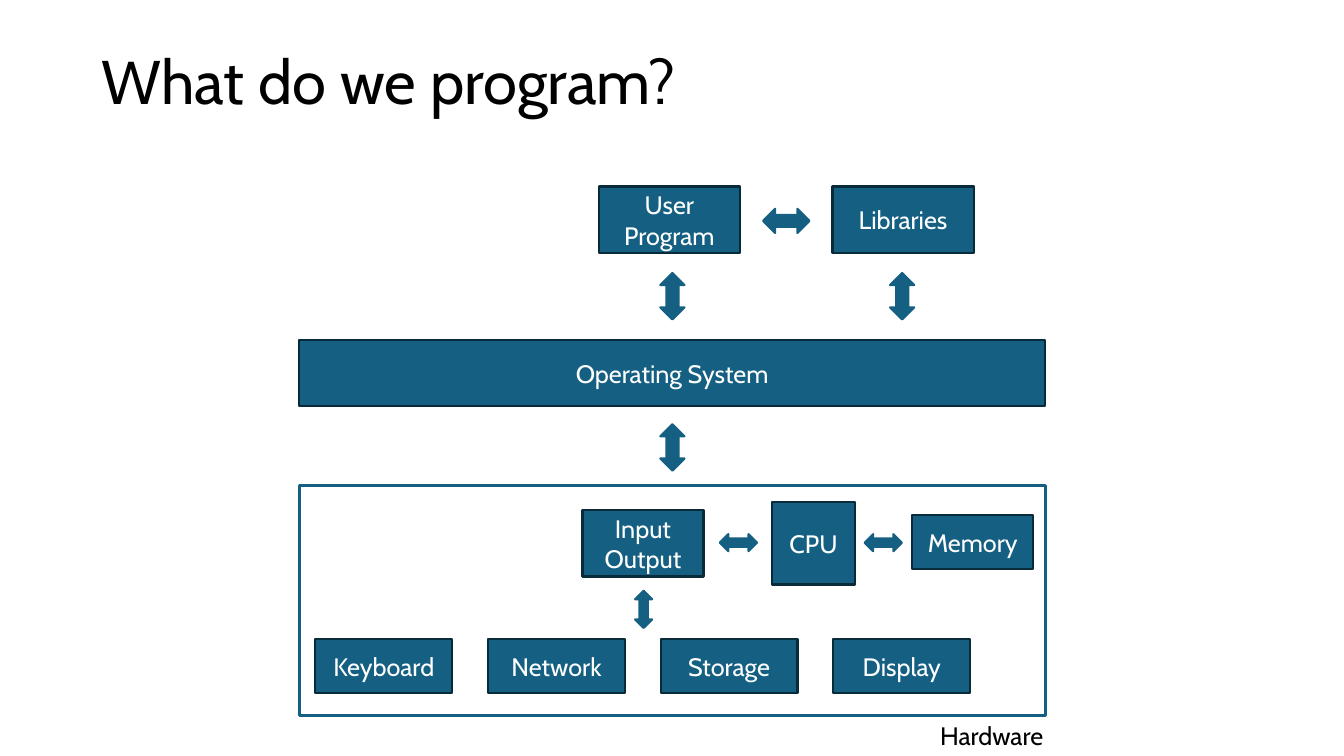
"""Build a slide showing the layers between a user program and the hardware."""
from pptx import Presentation
from pptx.dml.color import RGBColor
from pptx.enum.shapes import MSO_SHAPE
from pptx.enum.text import MSO_ANCHOR, MSO_AUTO_SIZE, PP_ALIGN
from pptx.util import Cm, Pt

TEAL, DARK_TEAL, WHITE, BLACK = "156082", "092A39", "FFFFFF", "000000"


def paint(color_format, hex_color):
    color_format.rgb = RGBColor.from_string(hex_color)


def write(shape, text, size, hex_color, align):
    shape.text_frame.text = text
    for paragraph in shape.text_frame.paragraphs:
        paragraph.alignment = align
        paragraph.font.name = "Cabin"
        paragraph.font.size = Pt(size)
        paint(paragraph.font.color, hex_color)


prs = Presentation()
prs.slide_width, prs.slide_height = Cm(33.87), Cm(19.05)
slide = prs.slides.add_slide(prs.slide_layouts[5])

title = slide.shapes.title
title.left, title.top, title.width, title.height = Cm(2.31), Cm(1.02), Cm(29.21), Cm(2.21)
write(title, "What do we program?", 44, BLACK, PP_ALIGN.LEFT)
title.text_frame.auto_size = MSO_AUTO_SIZE.NONE
title.text_frame.vertical_anchor = MSO_ANCHOR.MIDDLE
title.text_frame.paragraphs[0].line_spacing = 0.9

hardware = slide.shapes.add_shape(MSO_SHAPE.RECTANGLE, Cm(7.54), Cm(12.24), Cm(18.8), Cm(5.79))
hardware.shadow.inherit = False
hardware.fill.background()
paint(hardware.line.color, TEAL)
hardware.line.width = Pt(2.25)

components = [
    ("User Program", 15.09, 4.7, 3.56, 1.68),
    ("Libraries", 20.98, 4.7, 3.56, 1.68),
    ("Operating System", 7.54, 8.56, 18.8, 1.68),
    ("Input\nOutput", 14.68, 12.85, 3.05, 1.68),
    ("CPU", 19.46, 12.65, 2.08, 2.08),
    ("Memory", 22.99, 12.98, 3.05, 1.37),
]
devices = ["Keyboard", "Network", "Storage", "Display"]
components += [(device, 7.95 + 4.35 * i, 16.1, 3.45, 1.37) for i, device in enumerate(devices)]

for label, left, top, width, height in components:
    component = slide.shapes.add_shape(MSO_SHAPE.RECTANGLE, Cm(left), Cm(top), Cm(width), Cm(height))
    component.shadow.inherit = False
    component.fill.solid()
    paint(component.fill.fore_color, TEAL)
    paint(component.line.color, DARK_TEAL)
    component.line.width = Pt(1.5)
    component.text_frame.word_wrap = True
    component.text_frame.vertical_anchor = MSO_ANCHOR.MIDDLE
    write(component, label, 18, WHITE, PP_ALIGN.CENTER)

LARGE, SMALL = (1.17, 0.61), (0.94, 0.43)
exchanges = [
    (19.23, 5.26, LARGE, 180),
    (16.36, 7.16, LARGE, 90),
    (22.15, 7.16, LARGE, 90),
    (16.36, 10.97, LARGE, 90),
    (18.14, 13.46, SMALL, 0),
    (21.79, 13.46, SMALL, 0),
    (15.75, 15.14, SMALL, 90),
]
for left, top, (width, height), rotation in exchanges:
    exchange = slide.shapes.add_shape(MSO_SHAPE.LEFT_RIGHT_ARROW, Cm(left), Cm(top), Cm(width), Cm(height))
    exchange.rotation = rotation
    exchange.shadow.inherit = False
    exchange.fill.solid()
    paint(exchange.fill.fore_color, TEAL)
    paint(exchange.line.color, TEAL)
    exchange.line.width = Pt(1.5)

hardware_label = slide.shapes.add_textbox(Cm(23.44), Cm(18.03), Cm(3.23), Cm(1.02))
hardware_label.text_frame.word_wrap = False
hardware_label.text_frame.auto_size = MSO_AUTO_SIZE.SHAPE_TO_FIT_TEXT
write(hardware_label, "Hardware", 18, BLACK, PP_ALIGN.LEFT)

prs.save("out.pptx")
